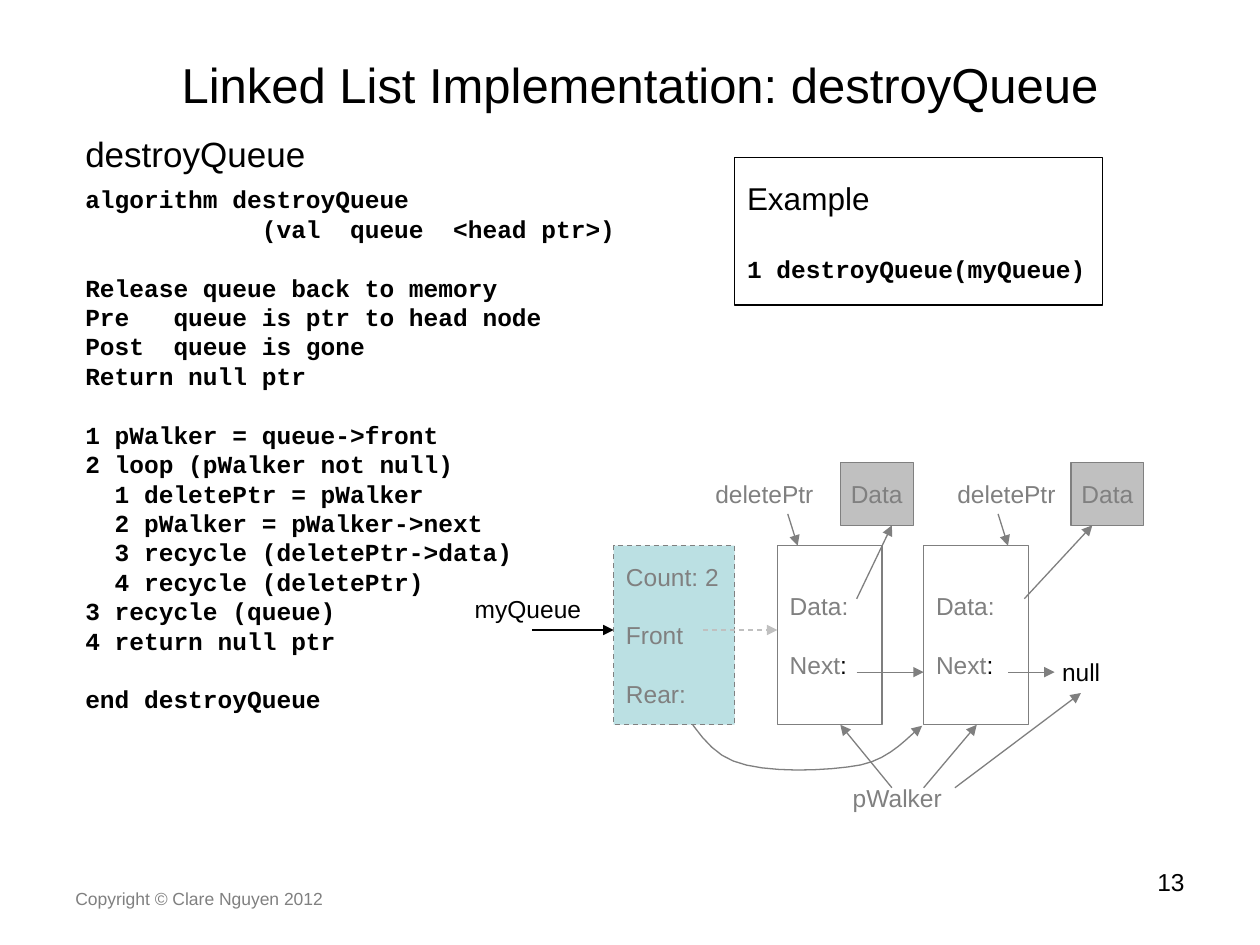
from pptx import Presentation
from pptx.dml.color import RGBColor
from pptx.enum.dml import MSO_LINE
from pptx.enum.shapes import MSO_CONNECTOR, MSO_SHAPE
from pptx.enum.text import MSO_ANCHOR, PP_ALIGN
from pptx.util import Cm, Pt
from lxml.etree import SubElement
from pptx.oxml.ns import qn

COLORS = {"black": "000000", "gray": "808080", "line": "7F7F7F",
          "silver": "C0C0C0", "teal": "BBE0E3"}
LEADING = 1.2

prs = Presentation()
prs.slide_width, prs.slide_height = Cm(25.4), Cm(19.05)
s = prs.slides.add_slide(prs.slide_layouts[6])


def add_text(text, box, size=14, font="Arial", color="black", bold=False,
             align=PP_ALIGN.LEFT, anchor=MSO_ANCHOR.TOP, wrap=True,
             fill=None, border=None, dash=None):
    """Add a text box, or a rectangle when border is given.

    text is a string, or a list of lines; a line is a string or a list of
    (string, format) runs, and "" leaves a gap of one line.
    """
    box = [Cm(v) for v in box]
    if border:
        sp = s.shapes.add_shape(MSO_SHAPE.RECTANGLE, *box)
        sp.shadow.inherit = False
        sp.line.color.rgb = RGBColor.from_string(COLORS[border])
        sp.line.width = Pt(0.75)
        sp.line.dash_style = dash
        if fill:
            sp.fill.solid()
            sp.fill.fore_color.rgb = RGBColor.from_string(COLORS[fill])
        else:
            sp.fill.background()
    else:
        sp = s.shapes.add_textbox(*box)
    tf = sp.text_frame
    tf.word_wrap, tf.vertical_anchor = wrap, anchor
    p, gap, pitch = None, 0, 0
    for line in [text] if isinstance(text, str) else text:
        if not line:
            gap = pitch
            continue
        p = tf.paragraphs[0] if p is None else tf.add_paragraph()
        p.alignment = align
        for words, style in [(line, {})] if isinstance(line, str) else line:
            r = p.add_run()
            r.text = words
            r.font.size = Pt(style.get("size", size))
            r.font.name = style.get("font", font)
            r.font.bold = style.get("bold", bold)
            r.font.color.rgb = RGBColor.from_string(COLORS[style.get("color", color)])
        pitch = r.font.size.pt * LEADING
        p.line_spacing = Pt(pitch)
        p.space_before = Pt(gap)
        gap = 0


def add_arrow(points, color="line", width=0.75, dash=None):
    """Draw an arrow along the points: straight for two, a freeform for more."""
    points = [(Cm(x), Cm(y)) for x, y in points]
    if len(points) == 2:
        sp = s.shapes.add_connector(MSO_CONNECTOR.STRAIGHT, *points[0], *points[1])
    else:
        builder = s.shapes.build_freeform(*points[0])
        builder.add_line_segments(points[1:], close=False)
        sp = builder.convert_to_shape()
        sp.fill.background()
    sp.line.color.rgb = RGBColor.from_string(COLORS[color])
    sp.line.width = Pt(width)
    sp.line.dash_style = dash
    SubElement(sp.line._get_or_add_ln(), qn("a:tailEnd"), type="triangle")
    SubElement(sp._element.spPr, qn("a:effectLst"))


# Footer, title and algorithm
add_text("Copyright © Clare Nguyen 2012", (1.27, 17.78, 8.05, 0.69), size=10, color="gray")
add_text("13", (18.21, 17.35, 5.92, 1.32), align=PP_ALIGN.RIGHT)
add_text("Linked List Implementation: destroyQueue", (1.47, 0.84, 22.86, 1.7),
         size=28, align=PP_ALIGN.CENTER, anchor=MSO_ANCHOR.MIDDLE)
add_text("destroyQueue", (1.47, 2.54, 22.86, 15.44), size=20)

algorithm = """algorithm destroyQueue
            (val  queue  <head ptr>)

Release queue back to memory
Pre   queue is ptr to head node
Post  queue is gone
Return null ptr

1 pWalker = queue->front
2 loop (pWalker not null)
  1 deletePtr = pWalker
  2 pWalker = pWalker->next
  3 recycle (deletePtr->data)
  4 recycle (deletePtr)
3 recycle (queue)
4 return null ptr

end destroyQueue"""
code = {"font": "Courier New", "bold": True}
add_text(algorithm.split("\n"), (1.47, 3.58, 11.23, 10.95),
         anchor=MSO_ANCHOR.MIDDLE, **code)

# Example call
boxed = {"anchor": MSO_ANCHOR.MIDDLE, "wrap": False}
add_text([[("Example", {"size": 18})], "", [("1 destroyQueue(myQueue)", code)]],
         (14.81, 3.18, 7.42, 2.97), border="black", **boxed)

# Queue head
add_arrow([(10.72, 12.7), (12.37, 12.7)], color="black", width=1.5)
add_text("myQueue", (9.32, 11.86, 2.72, 0.86))

bezier_points = [(13.54, 13.97), (13.74, 14.2), (14.15, 15.11), (14.78, 15.34),
                 (15.42, 15.6), (16.71, 15.54), (17.35, 15.42),
                 (17.98, 15.29), (18.34, 14.81), (18.59, 14.63)]
STEPS = 8
rear_curve = bezier_points[:1]
for i in range(0, 9, 3):
    for step in range(1, STEPS + 1):
        t = step / STEPS
        weights = ((1 - t) ** 3, 3 * t * (1 - t) ** 2, 3 * t ** 2 * (1 - t), t ** 3)
        rear_curve.append(tuple(sum(w * pt[axis] for w, pt in zip(weights, bezier_points[i:i + 4]))
                                for axis in (0, 1)))
add_arrow(rear_curve)
add_text(["Count: 2", "", "Front", "", "Rear:"], (12.37, 11, 2.44, 3.61), color="gray",
         fill="teal", border="gray", dash=MSO_LINE.DASH, **boxed)
add_arrow([(14.17, 12.7), (15.67, 12.7)], color="silver", dash=MSO_LINE.DASH)

# Nodes: node, data box, data arrow start and end, next arrow end, label, label arrow
for node, data, start, end, next_start, next_end, label, pointer in [
        (15.67, 16.94, 17.27, 17.98, 17.27, 18.62, 14.17, 15.88),
        (18.62, 21.59, 20.65, 22.02, 20.32, 21.26, 19.05, 20.12)]:
    add_text("Data", (data, 9.32, 1.47, 1.27), color="gray", align=PP_ALIGN.CENTER,
             fill="silver", border="gray", **boxed)
    add_text(["Data:", "", [("Next", {}), (":", {"color": "black"})]],
             (node, 11, 2.11, 3.61), color="gray", border="line", **boxed)
    add_arrow([(start, 12.07), (end, 10.59)])
    add_arrow([(next_start, 13.55), (next_end, 13.55)])
    add_text("deletePtr", (label, 9.53, 2.49, 0.86), color="gray", wrap=False)
    add_arrow([(pointer, 10.36), (pointer + 0.2, 11)])
add_text("null", (21.16, 13.13, 1.63, 0.86))

# Walker
add_text("pWalker", (16.94, 15.67, 2.31, 0.86), color="gray", wrap=False)
for x, target in [(17.98, (16.94, 14.61)), (18.62, (19.69, 14.61)), (19.25, (21.79, 13.97))]:
    add_arrow([(x, 15.88), target])

prs.save("out.pptx")
